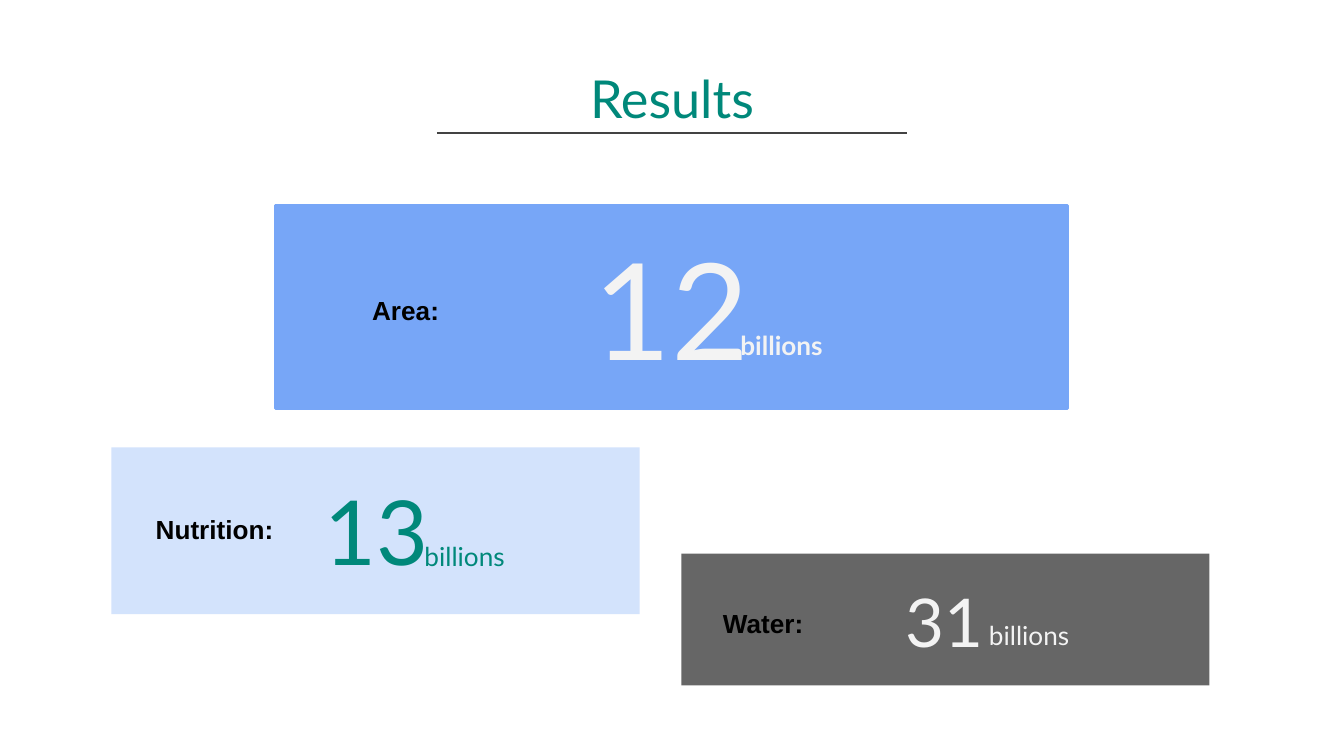
from dataclasses import dataclass
from typing import Optional

from lxml import etree
from pptx import Presentation
from pptx.dml.color import RGBColor
from pptx.enum.shapes import MSO_CONNECTOR, MSO_SHAPE
from pptx.enum.text import MSO_ANCHOR, PP_ALIGN
from pptx.oxml.ns import qn
from pptx.util import Inches, Pt

RECT = MSO_SHAPE.RECTANGLE
STRAIGHT = MSO_CONNECTOR.STRAIGHT
TOP, MIDDLE = MSO_ANCHOR.TOP, MSO_ANCHOR.MIDDLE
LEFT, CENTER = PP_ALIGN.LEFT, PP_ALIGN.CENTER


@dataclass(frozen=True)
class Theme:
    teal: str = "00887A"
    pale: str = "F3F3F3"
    black: str = "000000"
    rule: str = "434343"
    blue: str = "77A6F7"
    sky: str = "D3E3FC"
    gray: str = "666666"
    head: str = "Lato"
    body: str = "Arial"
    title: int = 28
    small: int = 14
    stroke: float = 1.5
    pad: float = 0.1


@dataclass(frozen=True)
class Box:
    left: float
    top: float
    width: float
    height: float

    def emu(self) -> list:
        return [Inches(v) for v in (self.left, self.top, self.width, self.height)]


@dataclass(frozen=True)
class Style:
    size: int
    color: str
    font: str
    bold: bool = False
    center: bool = False


@dataclass(frozen=True)
class Card:
    label: str
    value: str
    size: int
    fill: str
    ink: str
    panel: Box
    number: Box
    unit: tuple
    name: tuple
    edge: Optional[str] = None
    bold: bool = False


THEME = Theme()
WIDTH = 10
HEIGHT = WIDTH * 9 / 16
UNIT = (1.81, 0.38)
NAME = (6.78, 0.79)
CARDS = [
    Card("Nutrition:", "13", 48, THEME.sky, THEME.teal,
         Box(0.83, 3.33, 3.93, 1.24), Box(1, 3.63, 3.6, 0.63),
         (3.06, 3.92), (1.06, 3.72)),
    Card("Area:", "12", 72, THEME.blue, THEME.pale,
         Box(2.05, 1.53, 5.89, 1.51), Box(2.88, 1.82, 4.23, 0.93),
         (5.41, 2.35), (2.67, 2.09), edge=THEME.blue, bold=True),
    Card("Water:", "31", 36, THEME.gray, THEME.pale,
         Box(5.07, 4.12, 3.93, 0.98), Box(5.28, 4.3, 3.5, 0.63),
         (7.26, 4.51), (5.28, 4.42)),
]


def apply(target, values: dict) -> None:
    for key, value in values.items():
        setattr(target, key, value)


def add_text(slide, text: str, box: Box, style: Style) -> None:
    frame = slide.shapes.add_textbox(*box.emu()).text_frame
    pad = Inches(THEME.pad)
    apply(frame, {
        "word_wrap": True,
        "vertical_anchor": MIDDLE if style.center else TOP,
        "margin_left": pad, "margin_right": pad,
        "margin_top": pad, "margin_bottom": pad,
    })
    para = frame.paragraphs[0]
    para.alignment = CENTER if style.center else LEFT
    run = para.add_run()
    run.text = text
    apply(run.font, {"size": Pt(style.size), "name": style.font, "bold": style.bold})
    run.font.color.rgb = RGBColor.from_string(style.color)


def add_panel(slide, card: Card) -> None:
    shape = slide.shapes.add_shape(RECT, *card.panel.emu())
    shape.shadow.inherit = False
    shape.fill.solid()
    shape.fill.fore_color.rgb = RGBColor.from_string(card.fill)
    if card.edge:
        shape.line.color.rgb = RGBColor.from_string(card.edge)
        shape.line.width = Pt(THEME.stroke)
    else:
        shape.line.fill.background()


def add_card(slide, card: Card) -> None:
    add_panel(slide, card)
    add_text(slide, card.value, card.number,
             Style(card.size, card.ink, THEME.head, center=True))
    add_text(slide, "billions", Box(*card.unit, *UNIT),
             Style(THEME.small, card.ink, THEME.head, card.bold))
    add_text(slide, card.label, Box(*card.name, *NAME),
             Style(THEME.small, THEME.black, THEME.body, True))


def add_rule(slide, left: float, right: float, top: float) -> None:
    rule = slide.shapes.add_connector(
        STRAIGHT, Inches(left), Inches(top), Inches(right), Inches(top))
    rule.line.color.rgb = RGBColor.from_string(THEME.rule)
    rule.line.width = Pt(THEME.stroke)
    etree.SubElement(rule._element.spPr, qn("a:effectLst"))


def main() -> None:
    deck = Presentation()
    apply(deck, {"slide_width": Inches(WIDTH), "slide_height": Inches(HEIGHT)})
    slide = deck.slides.add_slide(deck.slide_layouts[6])
    add_rule(slide, 3.25, 6.75, 0.99)
    add_text(slide, "Results", Box(0.06, 0.51, 9.88, 0.44),
             Style(THEME.title, THEME.teal, THEME.head, center=True))
    for card in CARDS:
        add_card(slide, card)
    deck.save("out.pptx")


if __name__ == "__main__":
    main()
